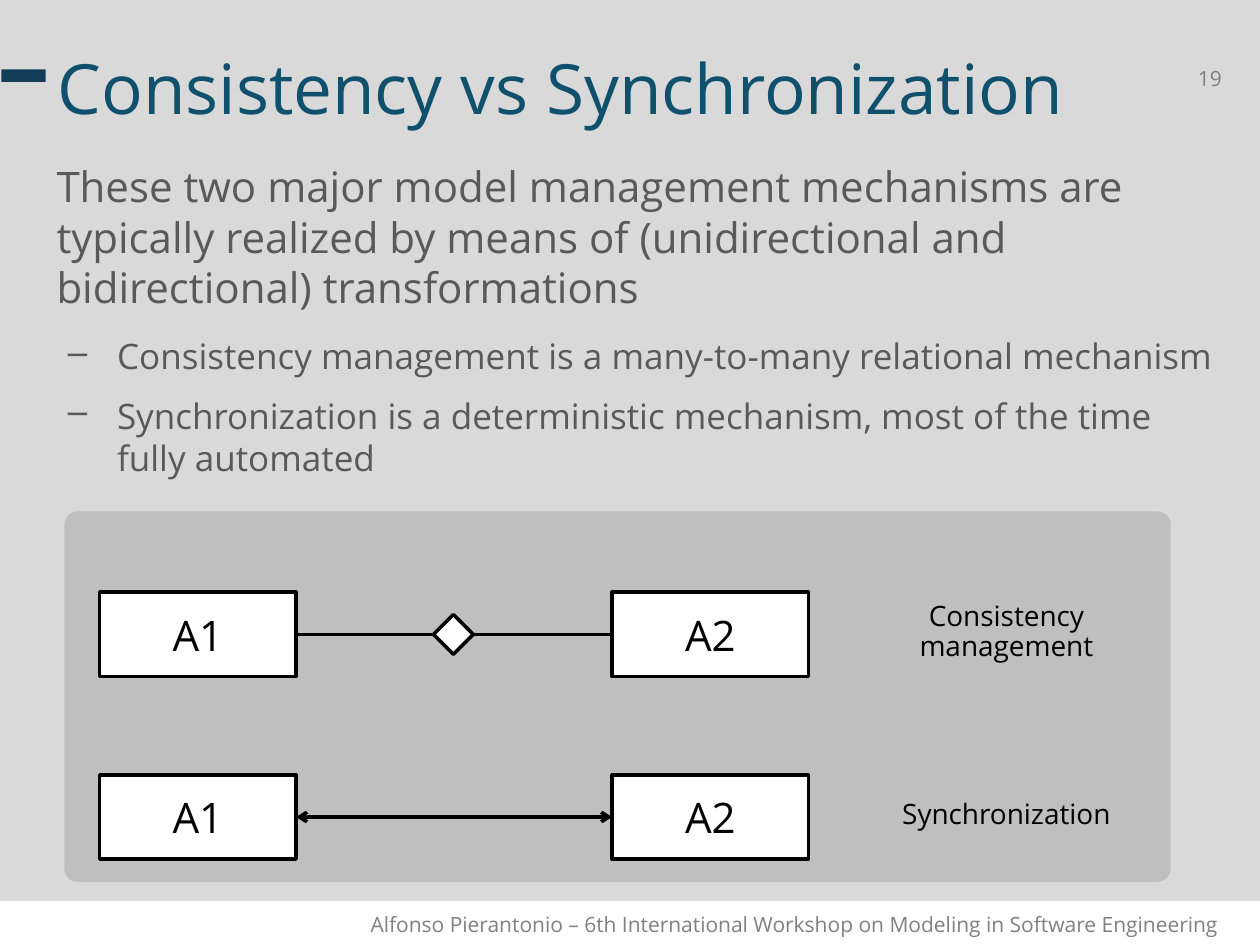
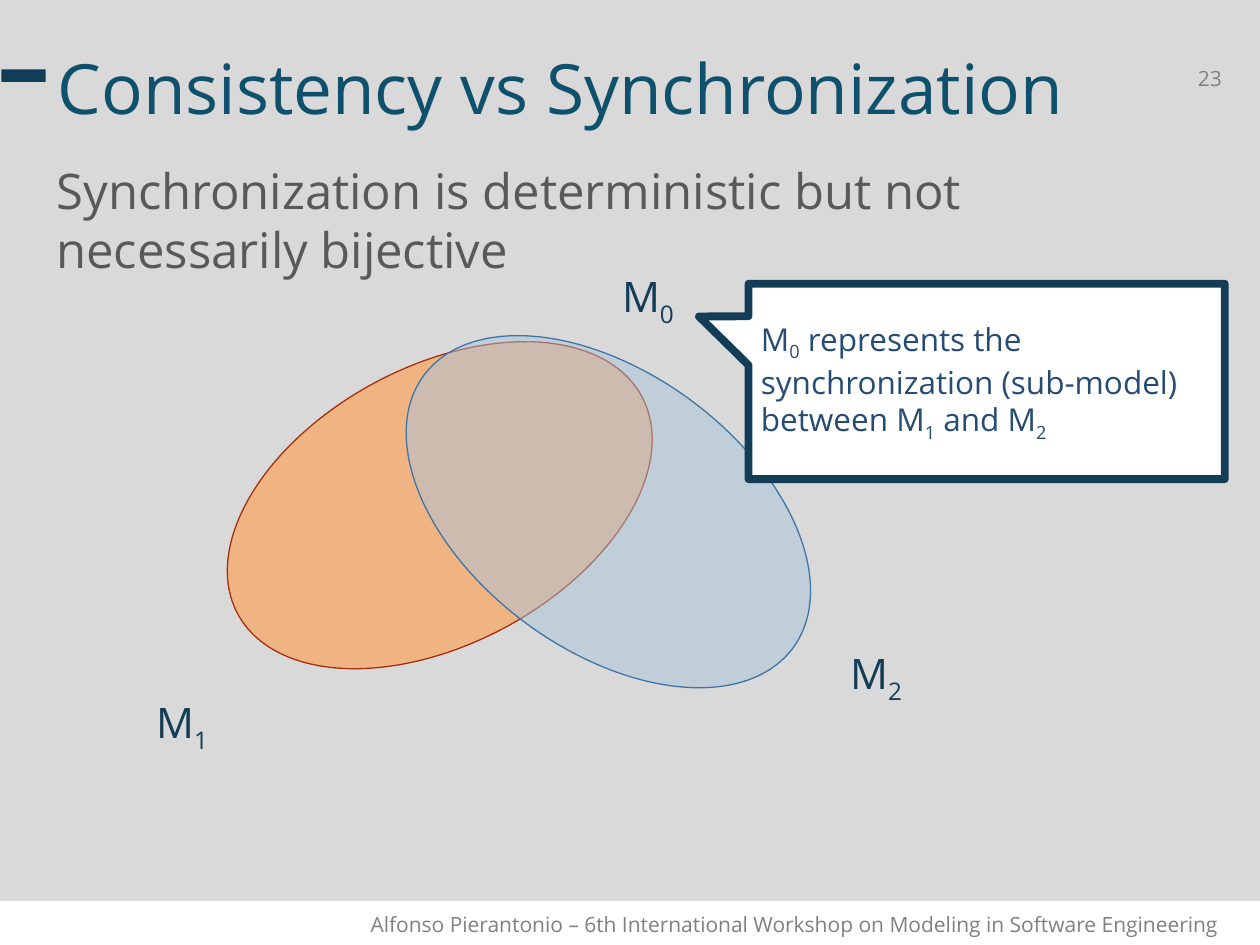
"""Build two slides that contrast consistency management with synchronization."""
from lxml import etree
from pptx import Presentation
from pptx.dml.color import RGBColor
from pptx.enum.shapes import MSO_CONNECTOR, MSO_SHAPE as Shape
from pptx.enum.text import MSO_ANCHOR as Anchor, PP_ALIGN as Align
from pptx.oxml.ns import qn
from pptx.util import Cm, Pt

FONT = "Open Sans"
BACKGROUND = RGBColor(0xD9, 0xD9, 0xD9)
WHITE = RGBColor(0xFF, 0xFF, 0xFF)
BLACK = RGBColor(0x00, 0x00, 0x00)
DASH_BLUE = RGBColor(0x12, 0x3D, 0x58)
TITLE_BLUE = RGBColor(0x0F, 0x50, 0x6C)
LABEL_BLUE = RGBColor(0x13, 0x3C, 0x57)
NOTE_BLUE = RGBColor(0x26, 0x4C, 0x73)
BODY_GREY = RGBColor(0x59, 0x59, 0x59)
FOOTER_GREY = RGBColor(0x80, 0x80, 0x80)
PANEL_GREY = RGBColor(0xBF, 0xBF, 0xBF)
ORANGE = RGBColor(0xF0, 0xB4, 0x83)
RUST = RGBColor(0xA6, 0x2F, 0x0E)
PALE_BLUE = RGBColor(0xA6, 0xC3, 0xDD)
MID_BLUE = RGBColor(0x3F, 0x75, 0xA6)

TITLE = "Consistency vs Synchronization"
FOOTER = "Alfonso Pierantonio – 6th International Workshop on Modeling in Software Engineering"


def add_shape(slide, kind, box, fill, line=None, width=0):
    """Add a flat preset shape, with an outline if a line colour is given."""
    shape = slide.shapes.add_shape(kind, *map(Cm, box))
    shape.shadow.inherit = False
    shape.fill.solid()
    shape.fill.fore_color.rgb = fill
    if line is None:
        shape.line.fill.background()
    else:
        shape.line.color.rgb = line
        shape.line.width = Pt(width)
    return shape


def write(shape, lines, size, color, align=Align.LEFT, anchor=Anchor.TOP, wrap=True):
    """Write one paragraph per line; text between underscores is subscript."""
    frame = shape.text_frame
    frame.word_wrap = wrap
    frame.vertical_anchor = anchor
    for number, line in enumerate(lines):
        paragraph = frame.add_paragraph() if number else frame.paragraphs[0]
        paragraph.alignment = align
        for position, piece in enumerate(line.split("_")):
            if piece:
                run = paragraph.add_run()
                run.text = piece
                run.font.name = FONT
                run.font.size = Pt(size)
                run.font.color.rgb = color
                if position % 2:
                    run.font._element.set("baseline", "-25000")
    return frame.paragraphs


presentation = Presentation()
presentation.slide_width = Cm(25.4)
presentation.slide_height = Cm(19.05)

slides = []
bodies = []
for number in ("19", "23"):
    slide = presentation.slides.add_slide(presentation.slide_layouts[6])
    slide.background.fill.solid()
    slide.background.fill.fore_color.rgb = BACKGROUND
    add_shape(slide, Shape.RECTANGLE, (0, 18.16, 25.4, 0.89), WHITE)
    add_shape(slide, Shape.RECTANGLE, (0.03, 1.4, 0.89, 0.25), DASH_BLUE)
    footer = slide.shapes.add_textbox(Cm(1.83), Cm(18.24), Cm(23), Cm(0.76))
    write(footer, [FOOTER], 12, FOOTER_GREY, Align.RIGHT, Anchor.MIDDLE)
    page = slide.shapes.add_textbox(Cm(23.9), Cm(1.19), Cm(1.45), Cm(0.76))
    write(page, [number], 12, FOOTER_GREY)
    title = slide.shapes.add_textbox(Cm(0.91), Cm(0.76), Cm(23.22), Cm(1.98))
    write(title, [TITLE], 39.6, TITLE_BLUE, anchor=Anchor.MIDDLE)
    slides.append(slide)
    bodies.append(slide.shapes.add_textbox(Cm(0.89), Cm(3.12), Cm(24), Cm(14.6)))

mechanisms, models = slides

intro, *bullets = write(bodies[0], [
    "These two major model management mechanisms are typically realized by means of "
    "(unidirectional and bidirectional) transformations",
    "Consistency management is a many-to-many relational mechanism",
    "Synchronization is a deterministic mechanism, most of the time fully automated",
], 24, BODY_GREY)
intro.space_after = Pt(9)
for bullet in bullets:
    bullet.level = 1
    bullet.space_before = Pt(4)
    bullet.space_after = Pt(6)
    properties = bullet._p.get_or_add_pPr()
    properties.set("marL", str(Cm(1.22)))
    properties.set("indent", str(Cm(-0.99)))
    etree.SubElement(properties, qn("a:buChar")).set("char", "–")
    bullet.runs[0].font.size = Pt(20)

panel = add_shape(mechanisms, Shape.ROUNDED_RECTANGLE, (1.3, 10.31, 22.3, 7.47), PANEL_GREY)
panel.adjustments[0] = 0.036

for top, label, has_diamond in (
    (11.94, ["Consistency", "management"], True),
    (15.62, ["Synchronization"], False),
):
    nodes = []
    for left, name in ((2.01, "A1"), (12.34, "A2")):
        node = add_shape(mechanisms, Shape.RECTANGLE, (left, top, 3.96, 1.7), WHITE, BLACK, 2)
        write(node, [name], 24, BLACK, Align.CENTER, Anchor.MIDDLE)
        nodes.append(node)
    if has_diamond:
        nodes.insert(1, add_shape(mechanisms, Shape.DIAMOND,
                                  (8.74, top + 0.45, 0.8, 0.8), WHITE, BLACK, 2))
    for start, end in zip(nodes, nodes[1:]):
        connector = mechanisms.shapes.add_connector(MSO_CONNECTOR.STRAIGHT, 0, 0, 0, 0)
        connector.begin_connect(start, 3)
        connector.end_connect(end, 1)
        connector.line.color.rgb = BLACK
        connector.line.width = Pt(2)
        if not has_diamond:
            for tip in ("a:headEnd", "a:tailEnd"):
                etree.SubElement(connector.line._get_or_add_ln(), qn(tip)).set("type", "arrow")
        etree.SubElement(connector._element.spPr, qn("a:effectLst"))
    caption = mechanisms.shapes.add_textbox(Cm(16.81), Cm(top - 0.42), Cm(6.96), Cm(2.54))
    paragraphs = write(caption, label, 16, BLACK, Align.CENTER, Anchor.MIDDLE, False)
    for position, paragraph in enumerate(paragraphs):
        paragraph.line_spacing = 0.7
        if position:
            paragraph.space_before = Pt(3.2)

write(bodies[1], ["Synchronization is deterministic but not necessarily bijective"], 28, BODY_GREY)

first_model = add_shape(models, Shape.OVAL, (6.07, 5.56, 5.59, 9.25), ORANGE, RUST, 0.75)
first_model.rotation = 61.7
second_model = add_shape(models, Shape.OVAL, (9.47, 5.69, 5.59, 9.25), PALE_BLUE, MID_BLUE, 0.75)
second_model.rotation = 306.4
fill_color = second_model._element.spPr.find(qn("a:solidFill"))[0]
etree.SubElement(fill_color, qn("a:alpha")).set("val", "48000")

for name, left, top in (("M_1_", 2.9, 13.92), ("M_2_", 16.89, 12.93), ("M_0_", 12.29, 5.33)):
    model_label = models.shapes.add_textbox(Cm(left), Cm(top), Cm(1.57), Cm(1.27))
    write(model_label, [name], 24, LABEL_BLUE, wrap=False)

note = add_shape(models, Shape.RECTANGULAR_CALLOUT, (15.09, 5.72, 9.6, 3.94),
                 WHITE, LABEL_BLUE, 4.5)
note.adjustments[0] = -0.604
note.adjustments[1] = -0.332
write(note, ["M_0_ represents the synchronization (sub-model) between M_1_ and M_2_"],
      18, NOTE_BLUE, anchor=Anchor.MIDDLE)

presentation.save("out.pptx")
